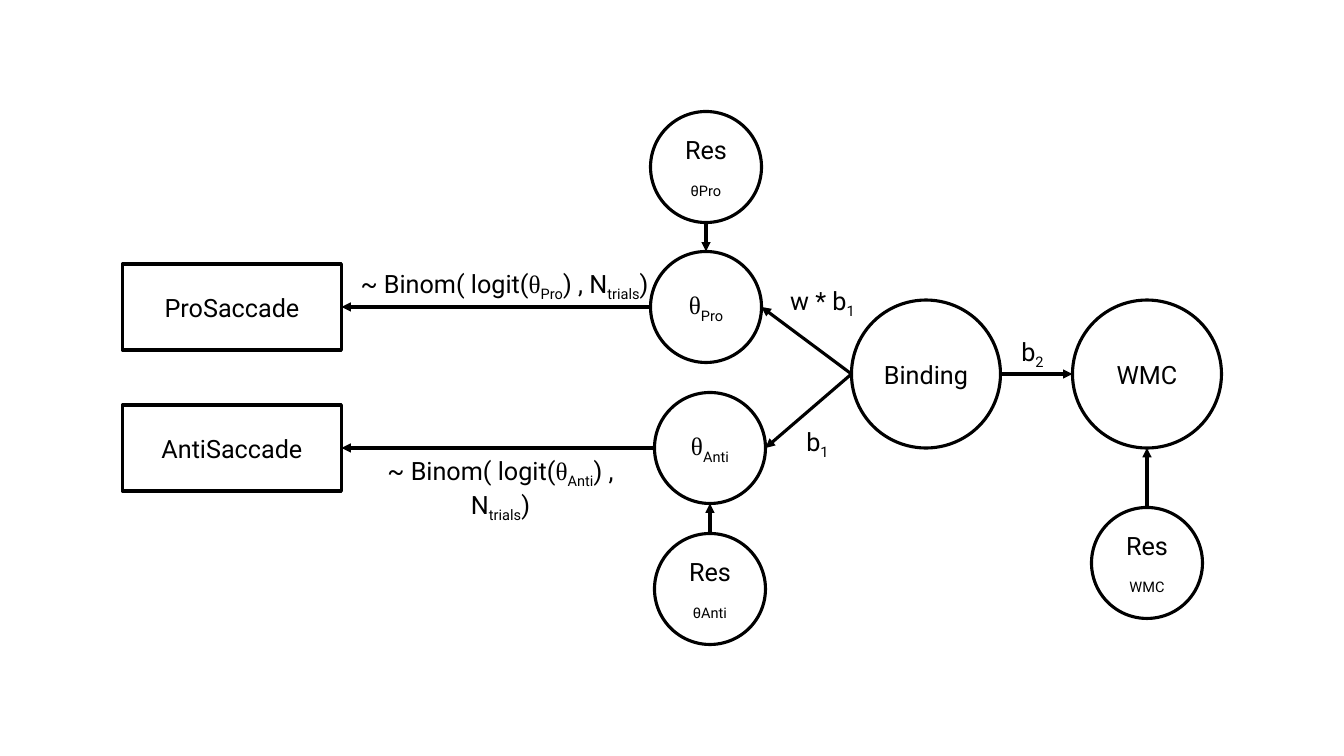
from pptx import Presentation, util as u
from pptx.dml.color import RGBColor
from pptx.enum import shapes, text
from pptx.oxml.ns import qn
from lxml import etree
from dataclasses import dataclass


@dataclass(frozen=True)
class Theme:
    ink: RGBColor = RGBColor(0, 0, 0)
    paper: RGBColor = RGBColor(255, 255, 255)
    font: str = "Roboto"
    greek: str = "Times New Roman"
    size: u.Pt = u.Pt(18)
    stroke: u.Pt = u.Pt(2.25)
    baseline: str = "-25000"


T = Theme()

# Content: a paragraph is a list of (text, style) runs
MAIN, SUB, GREEK = "main", "sub", "greek"


def plain(words):
    return [[(words, MAIN)]]


def indexed(base, index, style=MAIN):
    return [[(base, style), (index, SUB)]]


def residual(of):
    return [[("Res", MAIN)], [(of, SUB)]]


def binomial(condition):
    return [[("~ Binom( logit(", MAIN), ("θ", GREEK), (condition, SUB),
             (") , N", MAIN), ("trials", SUB), (")", MAIN)]]


# Kinds of node: preset shape, width, height in px
RECT, OVAL = shapes.MSO_SHAPE.RECTANGLE, shapes.MSO_SHAPE.OVAL
KINDS = {"measure": (RECT, 219, 86), "factor": (OVAL, 149, 148), "small": (OVAL, 111, 111)}

PRO_Y, ANTI_Y, FACTOR_Y = 307, 448, 374
PRO_X, ANTI_X, WMC_X = 706, 710, 1147

# Nodes: kind, centre x, centre y, text
NODES = {
    "pro saccade": ("measure", 232, PRO_Y, plain("ProSaccade")),
    "anti saccade": ("measure", 232, ANTI_Y, plain("AntiSaccade")),
    "binding": ("factor", 926, FACTOR_Y, plain("Binding")),
    "wmc": ("factor", WMC_X, FACTOR_Y, plain("WMC")),
    "res wmc": ("small", WMC_X, 563, residual("WMC")),
    "theta pro": ("small", PRO_X, PRO_Y, indexed("θ", "Pro", GREEK)),
    "theta anti": ("small", ANTI_X, ANTI_Y, indexed("θ", "Anti", GREEK)),
    "res anti": ("small", ANTI_X, 589, residual("θAnti")),
    "res pro": ("small", PRO_X, 167, residual("θPro")),
}

# Arrows: node and side it leaves, node and side it reaches
TOP, LEFT, BOTTOM, RIGHT = range(4)
ARROWS = [
    ("theta pro", LEFT, "pro saccade", RIGHT),
    ("theta anti", LEFT, "anti saccade", RIGHT),
    ("binding", LEFT, "theta pro", RIGHT),
    ("binding", LEFT, "theta anti", RIGHT),
    ("binding", RIGHT, "wmc", LEFT),
    ("res wmc", TOP, "wmc", BOTTOM),
    ("res anti", TOP, "theta anti", BOTTOM),
    ("res pro", BOTTOM, "theta pro", TOP),
]

# Path labels: left, top, width, text
LABEL_H = 40
LABELS = [
    (349, 263, 311, binomial("Pro")),
    (348, 450, 305, binomial("Anti")),
    (767, 280, 111, indexed("w * b", "1")),
    (762, 421, 111, indexed("b", "1")),
    (977, 331, 111, indexed("b", "2")),
]


def px(n):
    return u.Emu(round(n * 914400 / 100.8))


def write(tf, paragraphs):
    tf.word_wrap = True
    for i, runs in enumerate(paragraphs):
        p = tf.add_paragraph() if i else tf.paragraphs[0]
        p.alignment = text.PP_ALIGN.CENTER
        p.font.size = T.size
        p.font.color.rgb = T.ink
        for words, style in runs:
            r = p.add_run()
            r.text = words
            r.font.name = T.greek if style == GREEK else T.font
            if style == SUB:
                r.font._element.set("baseline", T.baseline)


def add_node(slide, kind, cx, cy, paragraphs):
    preset, w, h = KINDS[kind]
    s = slide.shapes.add_shape(preset, px(cx - w / 2), px(cy - h / 2), px(w), px(h))
    s.shadow.inherit = False
    s.fill.solid()
    s.fill.fore_color.rgb = T.paper
    s.line.color.rgb = T.ink
    s.line.width = T.stroke
    s.text_frame.vertical_anchor = text.MSO_ANCHOR.MIDDLE
    write(s.text_frame, paragraphs)
    return s


def side_point(s, side):
    dx, dy = {TOP: (1, 0), LEFT: (0, 1), BOTTOM: (1, 2), RIGHT: (2, 1)}[side]
    return s.left + s.width * dx // 2, s.top + s.height * dy // 2


def add_arrow(slide, start, start_side, end, end_side):
    c = slide.shapes.add_connector(shapes.MSO_CONNECTOR.STRAIGHT,
                                   *side_point(start, start_side), *side_point(end, end_side))
    if end.auto_shape_type == RECT:
        c.end_connect(end, end_side)
    c.line.color.rgb = T.ink
    c.line.width = T.stroke
    etree.SubElement(c.line._get_or_add_ln(), qn("a:tailEnd"), type="triangle")
    etree.SubElement(c._element.spPr, qn("a:effectLst"))


def main():
    prs = Presentation()
    prs.slide_width, prs.slide_height = px(1344), px(756)
    slide = prs.slides.add_slide(prs.slide_layouts[6])

    # Nodes, then the arrows between them
    drawn = {name: add_node(slide, *node) for name, node in NODES.items()}
    for start, start_side, end, end_side in ARROWS:
        add_arrow(slide, drawn[start], start_side, drawn[end], end_side)

    # Path labels
    for left, top, width, paragraphs in LABELS:
        box = slide.shapes.add_textbox(px(left), px(top), px(width), px(LABEL_H))
        write(box.text_frame, paragraphs)

    prs.save("out.pptx")


if __name__ == "__main__":
    main()
